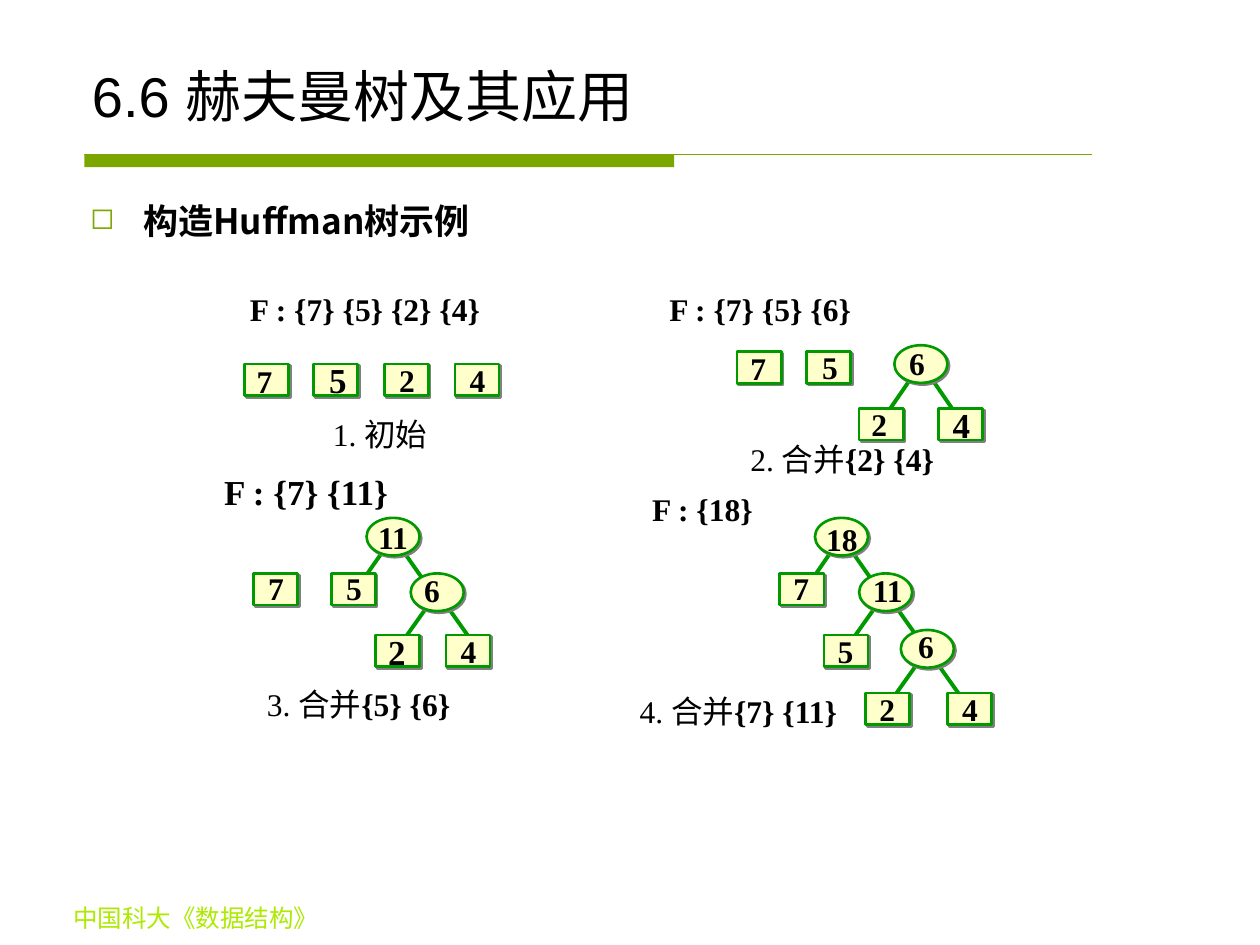
from lxml import etree
from pptx import Presentation
from pptx.dml.color import RGBColor
from pptx.enum.shapes import MSO_CONNECTOR, MSO_SHAPE
from pptx.enum.text import MSO_ANCHOR, MSO_AUTO_SIZE, PP_ALIGN
from pptx.oxml.ns import qn
from pptx.util import Cm, Pt

COLORS = {"text": "000000", "rule": "7BA600", "footer": "ADEA00", "bullet": "7CA800",
          "node": "FFFFCC", "edge": "009900", "shadow": "808080"}
SERIF, SANS, CHINESE = "Times New Roman", "Arial", "Noto Sans CJK SC"
CM_PER_INCH = 2.54
LEAF_SIZE, TREE_SIZE = (0.35, 0.25), (0.42, 0.3)
LABEL_SIZES = {18: (0.32, 0.4), 20: (0.34, 0.44)}

TITLE = "6.6 赫夫曼树及其应用"
HEADING = "构造Huffman树示例"
FOOTER = "中国科大《数据结构》"

# Forests: (text, box, size)
FORESTS = [
    ("F : {7} {5} {2} {4}", (1.88, 2.25, 2.03, 0.4), 18),
    ("F : {7} {5} {6}", (5.21, 2.25, 1.65, 0.4), 18),
    ("F : {7} {11} ", (1.67, 3.68, 1.59, 0.44), 20),
    ("F : {18} ", (5.07, 3.84, 1.07, 0.4), 18),
]
STEPS = [
    ("1. 初始", "", (2.51, 3.24, 1.01, 0.4)),
    ("2. 合并", "{2} {4}", (5.8, 3.44, 1.77, 0.4)),
    ("3. 合并", "{5} {6}", (1.96, 5.39, 1.77, 0.4)),
    ("4. 合并", "{7} {11}", (4.91, 5.44, 1.9, 0.4)),
]
LEAVES = [
    ("7", (1.94, 2.89), (1.94, 2.82), 18), ("5", (2.49, 2.89), (2.51, 2.79), 20),
    ("2", (3.05, 2.89), (3.07, 2.81), 18), ("4", (3.61, 2.89), (3.63, 2.81), 18),
    ("7", (5.85, 2.79), (5.86, 2.72), 18), ("5", (6.4, 2.79), (6.43, 2.71), 18),
    ("2", (6.82, 3.24), (6.82, 3.16), 18), ("4", (7.45, 3.24), (7.46, 3.15), 20),
    ("7", (2.01, 4.55), (2.03, 4.47), 18), ("5", (2.63, 4.55), (2.65, 4.47), 18),
    ("2", (2.98, 5.04), (2.98, 4.95), 20), ("4", (3.54, 5.04), (3.56, 4.97), 18),
    ("7", (6.19, 4.55), (6.2, 4.47), 18), ("5", (6.54, 5.04), (6.55, 4.97), 18),
    ("2", (6.87, 5.5), (6.88, 5.43), 18), ("4", (7.52, 5.5), (7.54, 5.43), 18),
]
TREES = [
    ("6", (7.1, 2.74), (7.12, 2.68, 0.32, 0.4)),
    ("11", (2.91, 4.11), None),
    ("6", (3.26, 4.55), (3.19, 4.48, 0.48, 0.4)),
    ("18", (6.47, 4.11), (6.4, 4.08, 0.56, 0.4)),
    ("11", (6.82, 4.55), (6.76, 4.48, 0.57, 0.4)),
    ("6", (7.15, 5), (7.11, 4.93, 0.48, 0.4)),
]


def lengths(*inches):
    """Convert inches to lengths in centimetres."""
    return [Cm(round(value * CM_PER_INCH, 2)) for value in inches]


def color(name):
    """Return a named colour."""
    return RGBColor.from_string(COLORS[name])


def set_text(shape, pieces, size, font=SERIF, tint="text", align=PP_ALIGN.CENTER,
             anchor=MSO_ANCHOR.MIDDLE, wrap=False):
    """Write (text, bold) pieces as one paragraph and return it."""
    frame = shape.text_frame
    frame_format = {"word_wrap": wrap, "auto_size": MSO_AUTO_SIZE.NONE, "vertical_anchor": anchor}
    for name, value in frame_format.items():
        setattr(frame, name, value)
    paragraph = frame.paragraphs[0]
    paragraph.alignment = align
    for text, bold in pieces:
        run = paragraph.add_run()
        run.text = text
        for name, value in {"size": Pt(size), "name": font, "bold": bold}.items():
            setattr(run.font, name, value)
        run.font.color.rgb = color(tint)
        run.font._element.find(qn("a:latin")).addnext(
            etree.Element(qn("a:ea"), typeface=CHINESE))
    return paragraph


def add_text(slide, box, pieces, size, **options):
    """Add a text box."""
    return set_text(slide.shapes.add_textbox(*lengths(*box)), pieces, size, **options)


def add_line(slide, start, end, tint, width):
    """Add a straight line without shadow."""
    line = slide.shapes.add_connector(MSO_CONNECTOR.STRAIGHT, *lengths(*start, *end))
    line.line.color.rgb = color(tint)
    line.line.width = Pt(width)
    etree.SubElement(line._element.spPr, qn("a:effectLst"))


def add_node(slide, kind, position, size):
    """Add a tree node with a small hard shadow."""
    node = slide.shapes.add_shape(kind, *lengths(*position, *size))
    node.fill.solid()
    node.fill.fore_color.rgb = color("node")
    node.line.color.rgb = color("edge")
    node.line.width = Pt(1.5)
    effects = etree.SubElement(node._element.spPr, qn("a:effectLst"))
    shadow = etree.SubElement(effects, qn("a:outerShdw"), dist=str(Pt(1.4)), dir="2700000")
    etree.SubElement(shadow, qn("a:srgbClr"), val=COLORS["shadow"])
    return node


def add_heading(slide):
    """Add the title, its rule, the bulleted heading and the footer."""
    bar = slide.shapes.add_shape(MSO_SHAPE.RECTANGLE, *lengths(0.67, 1.23, 4.68, 0.1))
    bar.shadow.inherit = False
    bar.fill.solid()
    bar.fill.fore_color.rgb = color("rule")
    bar.line.fill.background()
    add_line(slide, (0.67, 1.23), (8.67, 1.23), "rule", 0.75)
    add_text(slide, (0, 7.12, 3.11, 0.34), [(FOOTER, False)], 14, tint="footer",
             anchor=MSO_ANCHOR.TOP, wrap=True)

    title = slide.shapes.title
    title.left, title.top, title.width, title.height = lengths(0.63, 0.33, 8.75, 0.74)
    set_text(title, [(TITLE, False)], 32, font=SANS, align=PP_ALIGN.LEFT,
             anchor=MSO_ANCHOR.BOTTOM, wrap=True)

    heading = add_text(slide, (0.62, 1.47, 8.75, 5.43), [(HEADING, True)], 20, font=CHINESE,
                       align=PP_ALIGN.LEFT, anchor=MSO_ANCHOR.TOP, wrap=True)
    heading.line_spacing = 1.2
    properties = heading._p.get_or_add_pPr()
    indent = lengths(0.42)[0]
    properties.set("marL", str(indent))
    properties.set("indent", str(-indent))
    bullet_color = etree.SubElement(properties, qn("a:buClr"))
    etree.SubElement(bullet_color, qn("a:srgbClr"), val=COLORS["bullet"])
    etree.SubElement(properties, qn("a:buSzPct"), val="85000")
    etree.SubElement(properties, qn("a:buChar"), char="◻")


def add_trees(slide):
    """Add edges, then nodes, then their labels."""
    for _, (left, top), _ in TREES:
        center = left + TREE_SIZE[0] / 2
        for side in (-1, 1):
            add_line(slide, (center + side * 0.07, top + 0.25),
                     (center + side * 0.28, top + 0.55), "edge", 2.25)
    for text, position, label, size in LEAVES:
        add_node(slide, MSO_SHAPE.RECTANGLE, position, LEAF_SIZE)
        add_text(slide, label + LABEL_SIZES[size], [(text, True)], size)
    for text, position, label in TREES:
        node = add_node(slide, MSO_SHAPE.OVAL, position, TREE_SIZE)
        if label:
            add_text(slide, label, [(text, True)], 18)
        else:
            set_text(node, [(text, True)], 18)


def main():
    """Build the Huffman tree slide."""
    presentation = Presentation()
    presentation.slide_width, presentation.slide_height = lengths(10, 7.5)
    slide = presentation.slides.add_slide(presentation.slide_layouts[5])
    add_heading(slide)
    for text, box, size in FORESTS:
        add_text(slide, box, [(text, True)], size)
    for step, merged, box in STEPS:
        pieces = [(step, False)] + ([(merged, True)] if merged else [])
        add_text(slide, box, pieces, 18)
    add_trees(slide)
    presentation.save("out.pptx")


if __name__ == "__main__":
    main()
